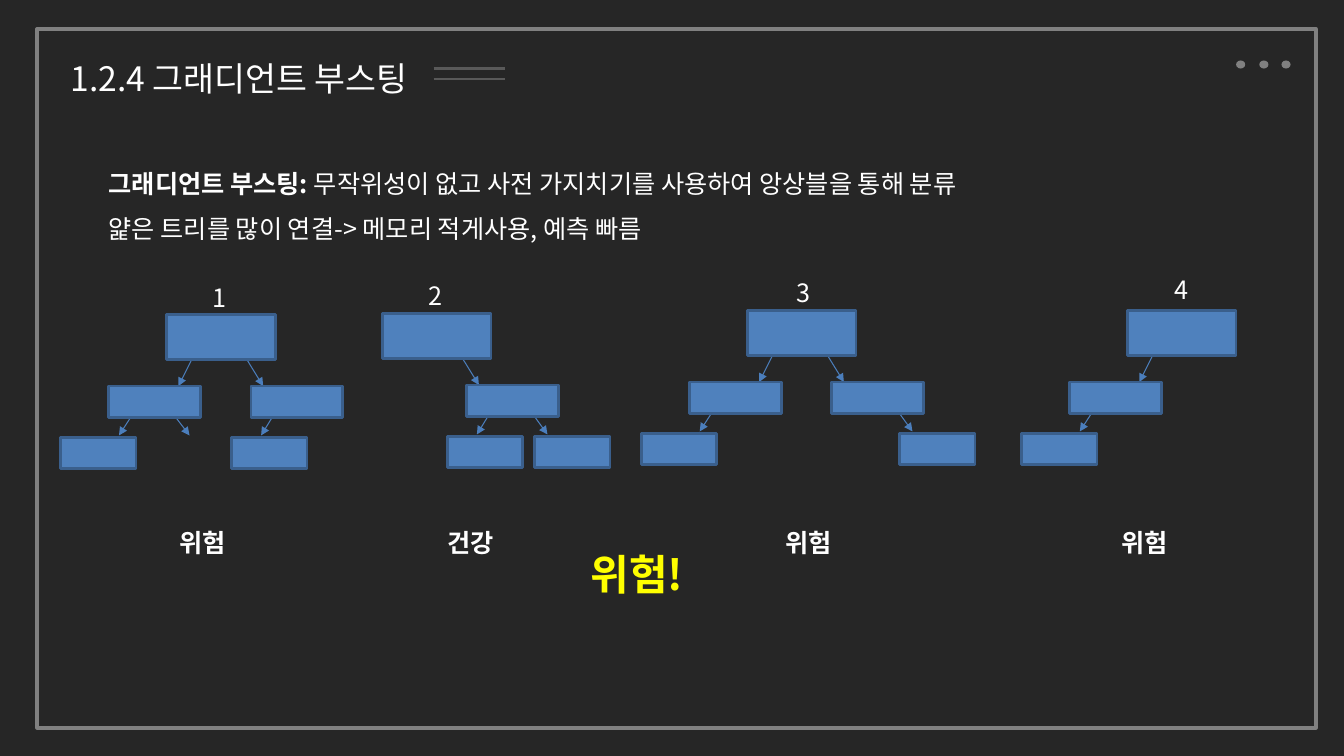
from lxml.etree import SubElement
from pptx import Presentation
from pptx.dml.color import RGBColor
from pptx.enum.shapes import MSO_CONNECTOR, MSO_SHAPE
from pptx.enum.text import MSO_AUTO_SIZE
from pptx.oxml.ns import qn
from pptx.util import Inches, Pt

COLS, ROWS = 133.3, 75  # grid cells are a tenth of an inch
FONT = "Noto Sans CJK KR"
GREY, DARK, WHITE = "808080", "595959", "FFFFFF"
BOX, EDGE, ARROW = "4F81BD", "3A5F8C", "4B7EBC"

# Tree parts, relative to the root's top left corner
NODES = {
    "root": (0, 0, 10.8, 4.5),
    "L": (-5.7, 7.1, 9.1, 3.1),
    "R": (8.4, 7.1, 9.1, 3.1),
    "LL": (-10.5, 12.2, 7.5, 3.1),
    "RL": (6.45, 12.2, 7.5, 3.1),
    "RR": (15.1, 12.2, 7.5, 3.1),
}
LINKS = {
    "L": (2.5, 4.5, 1.2, 7.1),
    "R": (8, 4.5, 9.6, 7.1),
    "LL": (-3.6, 10.3, -4.7, 12),
    "LR": (1, 10.3, 2.3, 12),
    "RL": (10.5, 10.2, 9.4, 12),
    "RR": (15.1, 10.2, 16.4, 12),
}


def color(code):
    return RGBColor.from_string(code)


class Page:
    def __init__(self, back):
        self.deck = Presentation()
        self.deck.slide_width, self.deck.slide_height = Inches(13.33), Inches(7.5)
        self.slide = self.deck.slides.add_slide(self.deck.slide_layouts[6])
        fill = self.slide.background.fill
        fill.solid()
        fill.fore_color.rgb = color(back)
        self.home = self.slide.shapes

    def cells(self, *spots):
        """Turn column, row, column, row into lengths."""
        units = (self.deck.slide_width / COLS, self.deck.slide_height / ROWS)
        return [round(spot * units[i % 2]) for i, spot in enumerate(spots)]

    def group(self):
        self.home = self.slide.shapes.add_group_shape().shapes

    def leave(self):
        self.home = self.slide.shapes

    def shape(self, kind, spot, fill=None, edge=None, width=2):
        item = self.home.add_shape(kind, *self.cells(*spot))
        item.shadow.inherit = False
        for part, code in ((item.fill, fill), (item.line.fill, edge)):
            if code:
                part.solid()
                part.fore_color.rgb = color(code)
            else:
                part.background()
        if edge:
            item.line.width = Pt(width)

    def line(self, ends, code, width, arrow=False):
        item = self.home.add_connector(MSO_CONNECTOR.STRAIGHT, *self.cells(*ends))
        item.line.color.rgb = color(code)
        item.line.width = Pt(width)
        if arrow:
            SubElement(item.line._get_or_add_ln(), qn("a:tailEnd"), type="triangle")
        SubElement(item._element.spPr, qn("a:effectLst"))

    def text(self, spot, *paras, size=18, code=WHITE, wrap=True):
        """Each paragraph is a list of (words, bold) runs."""
        frame = self.home.add_textbox(*self.cells(*spot)).text_frame
        frame.word_wrap = wrap
        frame.auto_size = MSO_AUTO_SIZE.SHAPE_TO_FIT_TEXT
        for i, runs in enumerate(paras):
            para = frame.add_paragraph() if i else frame.paragraphs[0]
            para.line_spacing = 1.5
            for words, bold in runs:
                run = para.add_run()
                run.text = words
                form = {"name": FONT, "size": Pt(size), "bold": bold}
                for key, value in form.items():
                    setattr(run.font, key, value)
                run.font.color.rgb = color(code)
                SubElement(run._r.get_or_add_rPr(), qn("a:ea"), typeface=FONT)

    def tree(self, left, top, nodes, links):
        self.group()
        for name in links.split():
            x, y, end, low = LINKS[name]
            self.line((left + x, top + y, left + end, top + low), ARROW, 0.75, True)
        for name in nodes.split():
            x, y, wide, high = NODES[name]
            self.shape(MSO_SHAPE.RECTANGLE, (left + x, top + y, wide, high), BOX, EDGE)
        self.leave()


def main():
    page = Page("262626")

    # Dots and frame
    for left in (122.6, 124.9, 127.1):
        page.shape(MSO_SHAPE.OVAL, (left, 6, 0.9, 0.8), GREY)
    page.shape(MSO_SHAPE.RECTANGLE, (3.7, 2.9, 126.8, 69.3), edge=GREY, width=3)

    # Title with its double rule
    page.text((6, 3.3, 59.9, 6.3), [("1.2.4 그래디언트 부스팅", False)], size=24)
    for row in (6.8, 7.8):
        page.line((43, row, 50.1, row), DARK, 1.5)

    # Definition
    page.text(
        (9.8, 14.7, 104, 10.1),
        [("그래디언트 부스팅: ", True),
         ("무작위성이 없고 사전 가지치기를 사용하여 앙상블을 통해 분류", False)],
        [("얉은 트리를 많이 연결-> 메모리 적게사용, 예측 빠름", False)],
    )

    # Trees: root corner, nodes, arrows
    for tree in (
        (16.5, 31.2, "root L R LL RL", "L R LL LR RL"),
        (37.9, 31.1, "root R RL RR", "R RL RR"),
        (74.1, 30.8, "root L R LL RR", "L R LL RR"),
        (111.8, 30.8, "root L LL", "L LL"),
    ):
        page.tree(*tree)

    # Tree numbers
    spots = ((20.1, 26), (41.5, 25.8), (78, 25.5), (115.5, 25.2))
    for count, spot in enumerate(spots, 1):
        page.text((*spot, 3.4, 5.6), [(str(count), False)])

    # Votes and final verdict
    for left, wide, vote, wrap in (
        (16.8, 16.3, "위험", True),
        (43.4, 11.3, "건강", True),
        (76.9, 11.2, "위험", True),
        (110.2, 6.9, "위험", False),
    ):
        page.text((left, 50.3, wide, 5), [(vote, True)], wrap=wrap)
    page.text((57.6, 51.4, 15.8, 7.6), [("위험!", True)], size=30, code="FFFF00")

    page.deck.save("out.pptx")


if __name__ == "__main__":
    main()
